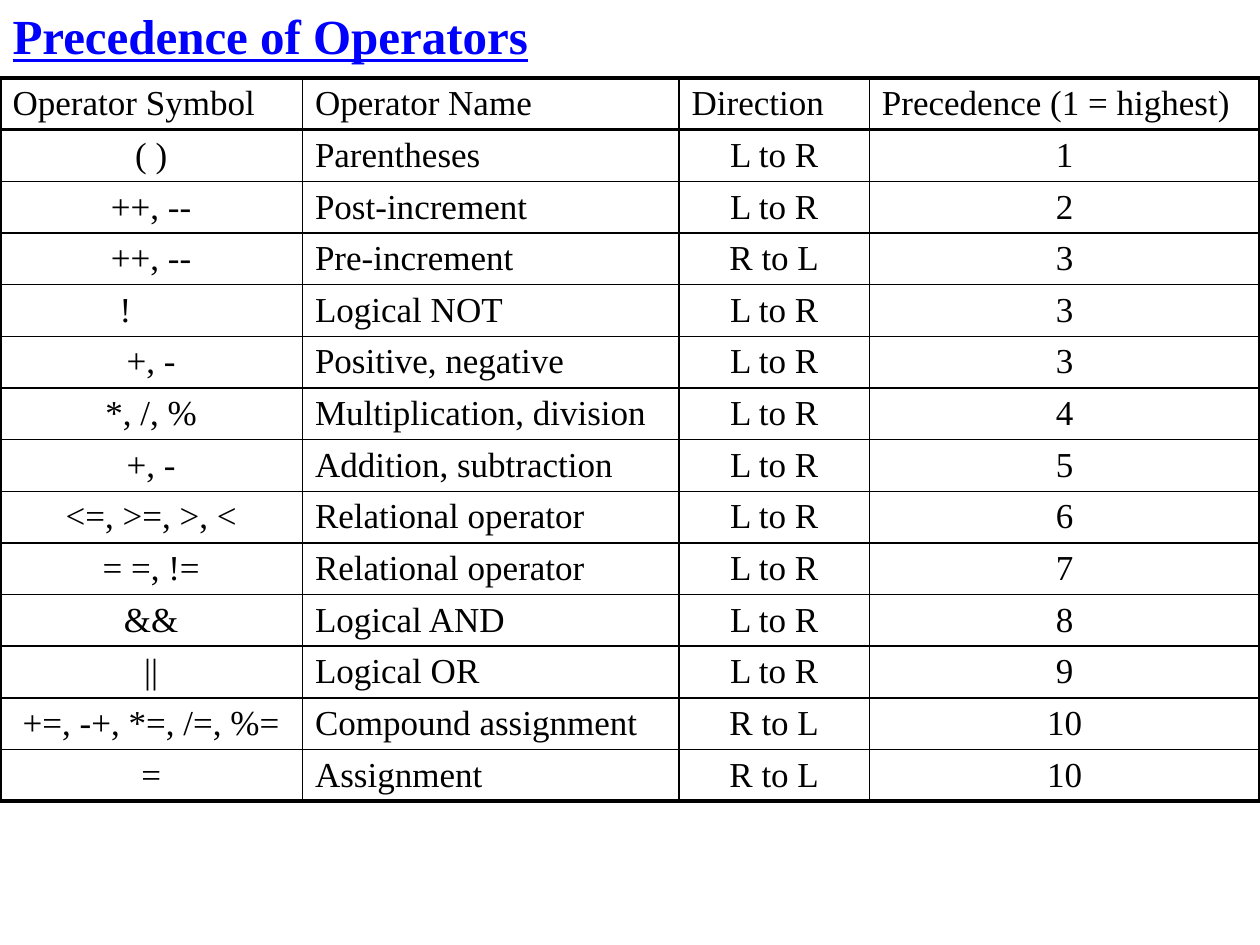
from lxml import etree
from pptx import Presentation
from pptx.dml.color import RGBColor
from pptx.enum.text import MSO_ANCHOR, PP_ALIGN
from pptx.oxml.ns import qn
from pptx.util import Inches, Pt

LEFT, CENTER = PP_ALIGN.LEFT, PP_ALIGN.CENTER
TOP, MIDDLE = MSO_ANCHOR.TOP, MSO_ANCHOR.MIDDLE
BLUE = RGBColor(0x00, 0x00, 0xFF)
BLACK = RGBColor(0x00, 0x00, 0x00)
FONT = "Times New Roman"
TITLE_ONLY = 5
THIN, THICK = Pt(1), Pt(2.25)

COLUMN_WIDTHS = [2.4, 2.99, 1.51, 3.1]
COLUMN_ALIGNMENTS = [CENTER, LEFT, CENTER, CENTER]
ROW_HEIGHT = 0.41
OPERATORS = [
    ("Operator Symbol", "Operator Name", "Direction", "Precedence (1 = highest)"),
    ("( )", "Parentheses", "L to R", "1"),
    ("++, --", "Post-increment", "L to R", "2"),
    ("++, --", "Pre-increment", "R to L", "3"),
    ("!\t", "Logical NOT", "L to R", "3"),
    ("+, -", "Positive, negative", "L to R", "3"),
    ("*, /, %", "Multiplication, division", "L to R", "4"),
    ("+, -", "Addition, subtraction", "L to R", "5"),
    ("<=, >=, >, <", "Relational operator", "L to R", "6"),
    ("= =, !=", "Relational operator", "L to R", "7"),
    ("&&", "Logical AND", "L to R", "8"),
    ("||", "Logical OR", "L to R", "9"),
    ("+=, -+, *=, /=, %=", "Compound assignment", "R to L", "10"),
    ("=", "Assignment", "R to L", "10"),
]


class SlideBuilder:
    def __init__(self, slide):
        self.slide = slide

    def style(self, paragraph, size, color, align):
        paragraph.alignment = align
        font = paragraph.font
        font.name = FONT
        font.size = Pt(size)
        font.color.rgb = color
        return font

    def title(self, text, left, top, width, height):
        title = self.slide.shapes.title
        title.left, title.top = Inches(left), Inches(top)
        title.width, title.height = Inches(width), Inches(height)
        frame = title.text_frame
        frame.text = text
        frame.vertical_anchor = MIDDLE
        font = self.style(frame.paragraphs[0], 28, BLUE, LEFT)
        font.bold = True
        font.underline = True

    def border(self, cell, side, width):
        """Draw one side (L, R, T or B) of a cell."""
        properties = cell._tc.get_or_add_tcPr()
        line = etree.SubElement(properties, qn(f"a:ln{side}"), w=str(width))
        fill = etree.SubElement(line, qn("a:solidFill"))
        etree.SubElement(fill, qn("a:srgbClr"), val=str(BLACK))

    def table(self, rows, left, top):
        row_count, column_count = len(rows), len(COLUMN_WIDTHS)
        table = self.slide.shapes.add_table(
            row_count, column_count, Inches(left), Inches(top),
            Inches(sum(COLUMN_WIDTHS)), Inches(ROW_HEIGHT * row_count)).table
        table.first_row = False
        table.horz_banding = False
        for column, width in zip(table.columns, COLUMN_WIDTHS):
            column.width = Inches(width)
        for r, texts in enumerate(rows):
            table.rows[r].height = Inches(ROW_HEIGHT)
            for c, text in enumerate(texts):
                cell = table.cell(r, c)
                cell.text = text
                cell.vertical_anchor = TOP
                align = LEFT if r == 0 else COLUMN_ALIGNMENTS[c]
                self.style(cell.text_frame.paragraphs[0], 20, BLACK, align)
                thick_sides = {
                    "L": c == 0,
                    "R": c == column_count - 1,
                    "T": r <= 1,
                    "B": r in (0, row_count - 1),
                }
                for side, is_thick in thick_sides.items():
                    self.border(cell, side, THICK if is_thick else THIN)
                cell.fill.background()


def main():
    presentation = Presentation()
    presentation.slide_width = Inches(10)
    presentation.slide_height = Inches(7.5)
    layout = presentation.slide_layouts[TITLE_ONLY]
    builder = SlideBuilder(presentation.slides.add_slide(layout))
    builder.title("Precedence of Operators", 0, 0, 7.5, 0.56)
    builder.table(OPERATORS, 0, 0.62)
    presentation.save("out.pptx")


if __name__ == "__main__":
    main()
